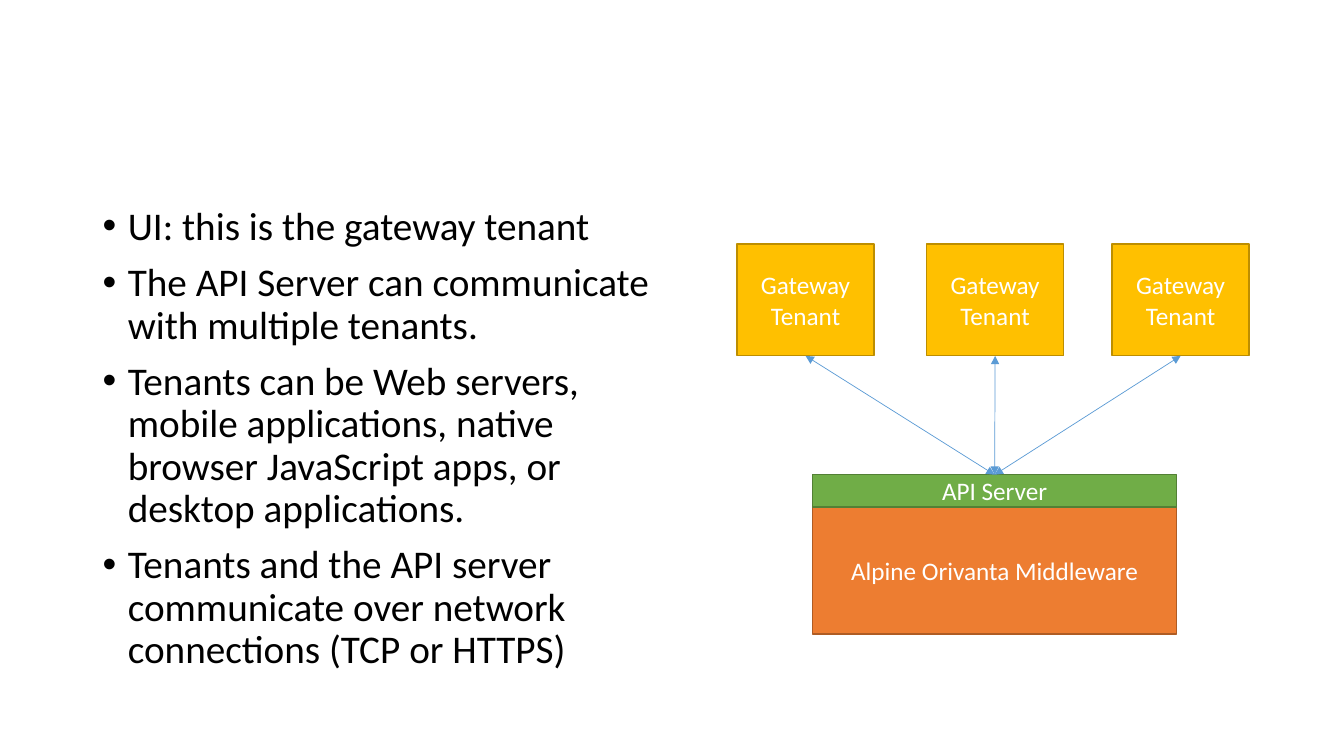
import pptx
import pptx.util
import pptx.dml.color
import pptx.enum.shapes
import pptx.enum.text
import pptx.oxml.ns
from lxml import etree
from pptx.util import Inches

COLORS = {
    "tenant": "FFC000", "tenant_line": "BD8E00",
    "middleware": "ED7D31", "middleware_line": "AF5C24",
    "server": "70AD47", "server_line": "538035",
    "arrow": "5B9BD5", "white": "FFFFFF", "black": "000000",
}
BULLETS = [
    "UI: this is the gateway tenant",
    "The API Server can communicate with multiple tenants.",
    "Tenants can be Web servers, mobile applications, native browser JavaScript apps, "
    "or desktop applications.",
    "Tenants and the API server communicate over network connections (TCP or HTTPS)",
]


def color(name):
    return pptx.dml.color.RGBColor.from_string(COLORS[name])


def add_box(text, kind, left, top, width, height):
    """Add a labelled rectangle in the colours of its kind."""
    box = slide.shapes.add_shape(
        pptx.enum.shapes.MSO_SHAPE.RECTANGLE,
        Inches(left), Inches(top), Inches(width), Inches(height))
    box.shadow.inherit = False
    box.fill.solid()
    box.fill.fore_color.rgb = color(kind)
    box.line.color.rgb = color(kind + "_line")
    box.line.width = pptx.util.Pt(1)
    box.text_frame.word_wrap = True
    box.text_frame.vertical_anchor = pptx.enum.text.MSO_ANCHOR.MIDDLE
    paragraph = box.text_frame.paragraphs[0]
    paragraph.text = text
    paragraph.alignment = pptx.enum.text.PP_ALIGN.CENTER
    paragraph.font.name = "Calibri"
    paragraph.font.size = pptx.util.Pt(18)
    paragraph.font.color.rgb = color("white")
    return box


presentation = pptx.Presentation()
presentation.slide_width = Inches(13.33)
presentation.slide_height = Inches(7.5)
slide = presentation.slides.add_slide(presentation.slide_layouts[6])

# Gateway diagram
tenants = [add_box("Gateway Tenant", "tenant", left, 2.42, 1.36, 1.11)
           for left in (7.31, 9.19, 11.03)]
add_box("Alpine Orivanta Middleware", "middleware", 8.06, 5.03, 3.61, 1.26)
server = add_box("API Server", "server", 8.06, 4.71, 3.61, 0.32)

for tenant in tenants:
    arrow = slide.shapes.add_connector(
        pptx.enum.shapes.MSO_CONNECTOR.STRAIGHT, 0, 0, 0, 0)
    arrow.begin_connect(tenant, 2)
    arrow.end_connect(server, 0)
    arrow.line.color.rgb = color("arrow")
    arrow.line.width = pptx.util.Pt(0.5)
    line = arrow.line._get_or_add_ln()
    for end in ("a:headEnd", "a:tailEnd"):
        etree.SubElement(line, pptx.oxml.ns.qn(end), type="triangle")
    etree.SubElement(arrow._element.spPr, pptx.oxml.ns.qn("a:effectLst"))

# Bullet list
body = slide.shapes.add_textbox(Inches(0.92), Inches(2), Inches(5.67), Inches(4.76))
body.text_frame.word_wrap = True
for index, text in enumerate(BULLETS):
    paragraph = (body.text_frame.add_paragraph() if index
                 else body.text_frame.paragraphs[0])
    paragraph.text = text
    paragraph.line_spacing = 0.9
    paragraph.space_before = pptx.util.Pt(10)
    paragraph.font.name = "Calibri"
    paragraph.font.size = pptx.util.Pt(28)
    paragraph.font.color.rgb = color("black")
    properties = paragraph._p.get_or_add_pPr()
    properties.set("marL", str(Inches(0.25)))
    properties.set("indent", str(Inches(-0.25)))
    etree.SubElement(properties, pptx.oxml.ns.qn("a:buFont"), typeface="Arial")
    etree.SubElement(properties, pptx.oxml.ns.qn("a:buChar"), char="•")
    # The schema wants the default run properties after the bullet.
    properties.append(properties.find(pptx.oxml.ns.qn("a:defRPr")))

presentation.save("out.pptx")
